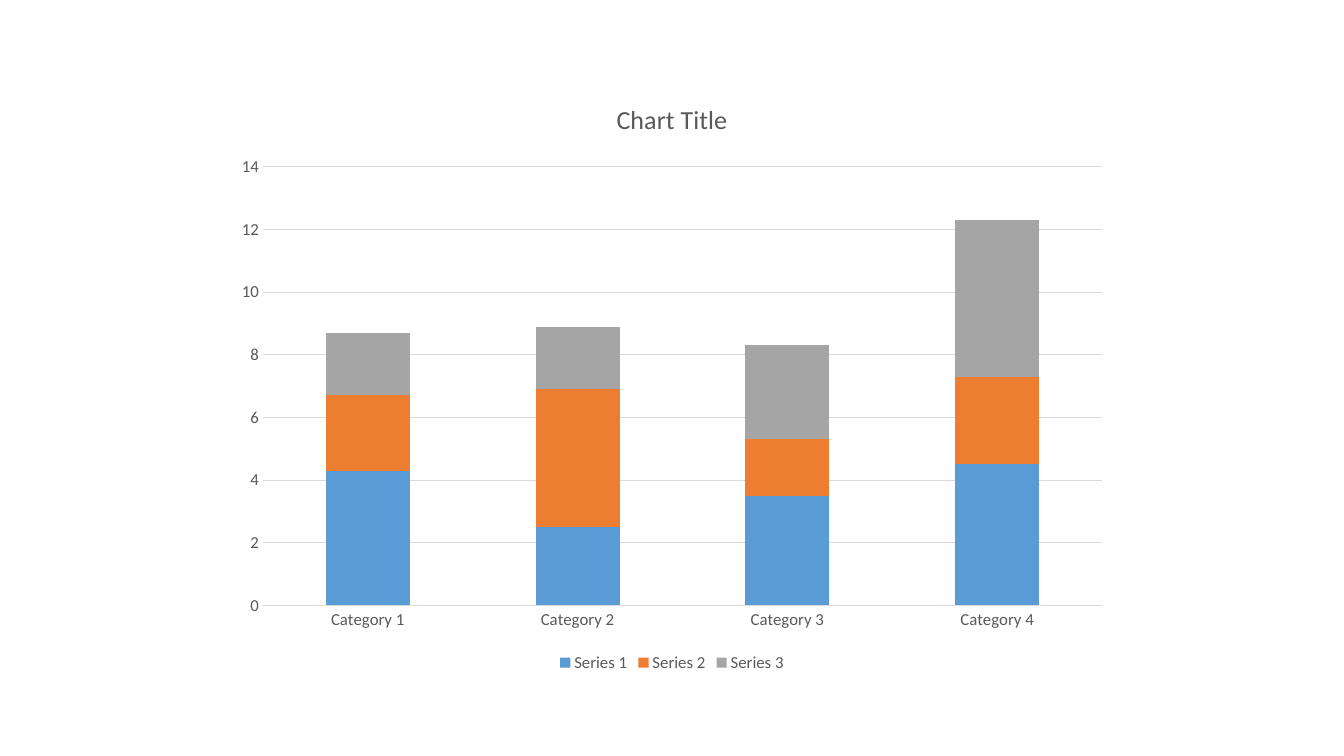
from pptx import Presentation
from pptx.chart.data import CategoryChartData
from pptx.dml.color import RGBColor
from pptx.enum.chart import XL_CHART_TYPE, XL_LEGEND_POSITION, XL_TICK_MARK
from pptx.util import Cm, Pt

TEXT_GREY = RGBColor(0x59, 0x59, 0x59)
LINE_GREY = RGBColor(0xD9, 0xD9, 0xD9)
BLUE = RGBColor(0x5B, 0x9B, 0xD5)
ORANGE = RGBColor(0xED, 0x7D, 0x31)
GREY = RGBColor(0xA5, 0xA5, 0xA5)

CATEGORIES = ["Category 1", "Category 2", "Category 3", "Category 4"]
SERIES = [
    ("Series 1", (4.3, 2.5, 3.5, 4.5), BLUE),
    ("Series 2", (2.4, 4.4, 1.8, 2.8), ORANGE),
    ("Series 3", (2, 2, 3, 5), GREY),
]


def style_font(font, size):
    """Apply the chart's typeface and text colour at the given size."""
    font.name = "Calibri"
    font.size = Pt(size)
    font.bold = False
    font.color.rgb = TEXT_GREY


def style_line(line):
    """Draw a thin light grey line."""
    line.color.rgb = LINE_GREY
    line.width = Pt(0.75)


def style_axes(chart):
    """Format both axes and the horizontal gridlines."""
    for axis in (chart.category_axis, chart.value_axis):
        axis.major_tick_mark = XL_TICK_MARK.NONE
        axis.minor_tick_mark = XL_TICK_MARK.NONE
        style_font(axis.tick_labels.font, 12)
    style_line(chart.category_axis.format.line)
    values = chart.value_axis
    values.format.line.fill.background()
    values.minimum_scale = 0
    values.maximum_scale = 14
    values.major_unit = 2
    values.has_major_gridlines = True
    style_line(values.major_gridlines.format.line)


def add_stacked_chart(page, left, top, width, height):
    """Place the titled stacked column chart in the given box."""
    data = CategoryChartData()
    data.categories = CATEGORIES
    for name, values, _ in SERIES:
        data.add_series(name, values)
    chart = page.shapes.add_chart(
        XL_CHART_TYPE.COLUMN_STACKED, left, top, width, height, data
    ).chart
    style_font(chart.font, 12)

    chart.has_title = True
    title = chart.chart_title
    title.include_in_layout = False
    paragraph = title.text_frame.paragraphs[0]
    paragraph.text = "Chart Title"
    style_font(paragraph.font, 18.6)

    chart.has_legend = True
    chart.legend.position = XL_LEGEND_POSITION.BOTTOM
    chart.legend.include_in_layout = False
    style_font(chart.legend.font, 12)

    style_axes(chart)
    plot = chart.plots[0]
    plot.vary_by_categories = False
    plot.gap_width = 150
    plot.overlap = 100
    for series, (_, _, color) in zip(plot.series, SERIES):
        series.format.fill.solid()
        series.format.fill.fore_color.rgb = color


def main():
    """Build the slide and save the deck."""
    deck = Presentation()
    deck.slide_width = Cm(33.87)
    deck.slide_height = Cm(19.05)
    page = deck.slides.add_slide(deck.slide_layouts[6])
    width, height = Cm(22.58), Cm(15.05)
    add_stacked_chart(page, (deck.slide_width - width) // 2, Cm(2), width, height)
    deck.save("out.pptx")


if __name__ == "__main__":
    main()
